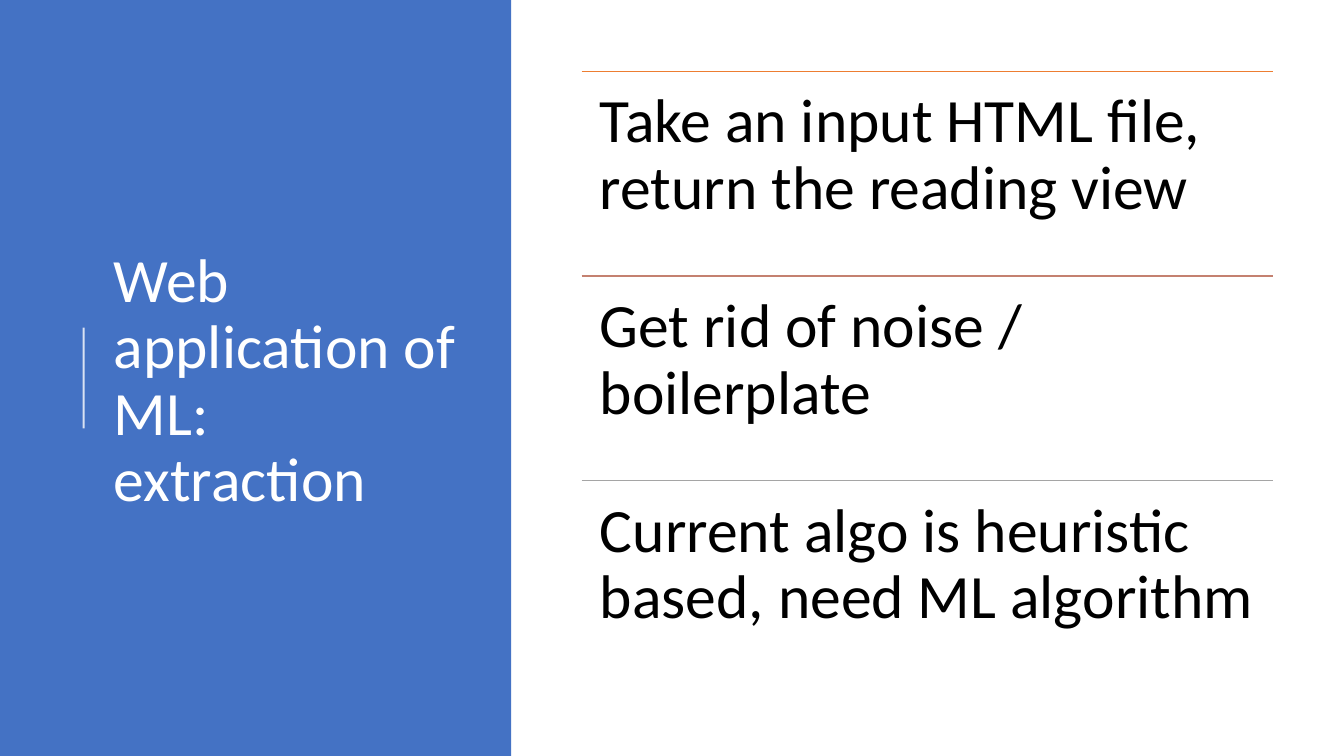
from dataclasses import dataclass

from lxml.etree import SubElement
from pptx import Presentation
from pptx.dml.color import RGBColor
from pptx.enum.shapes import MSO_CONNECTOR, MSO_SHAPE
from pptx.enum.text import MSO_ANCHOR
from pptx.oxml.ns import qn
from pptx.util import Inches, Pt

TITLE = "Web application of ML: extraction"
STEPS = [
    ("Take an input HTML file, return the reading view", "ED7D31"),
    ("Get rid of noise / boilerplate", "C48170"),
    ("Current algo is heuristic based, need ML algorithm", "A5A5A5"),
]


@dataclass(frozen=True)
class Theme:
    font: str = "Calibri"
    size: int = 44
    panel: str = "4472C4"
    light: str = "FFFFFF"
    dark: str = "000000"
    accent_opacity: int = 80


THEME = Theme()
PAGE_WIDTH, PAGE_HEIGHT = 13.33, 7.5
PANEL_WIDTH = 5.07
TITLE_BOX = (1.03, 0.78, 3.69, 6.02)
ACCENT_X, ACCENT_TOP, ACCENT_BOTTOM = 0.83, 3.25, 4.25
STEP_LEFT, STEP_TOP, STEP_WIDTH, STEP_HEIGHT = 5.77, 0.71, 6.86, 2.03
STEP_INSET = 0.18


def add_text(page, text, bounds, color, anchor, insets=(0.1, 0.05)):
    box = page.shapes.add_textbox(*map(Inches, bounds))
    frame = box.text_frame
    frame.text = text
    frame.word_wrap = True
    frame.vertical_anchor = anchor
    frame.margin_left = frame.margin_right = Inches(insets[0])
    frame.margin_top = frame.margin_bottom = Inches(insets[1])
    para = frame.paragraphs[0]
    para.line_spacing = 0.9
    font = para.runs[0].font
    font.name = THEME.font
    font.size = Pt(THEME.size)
    font.color.rgb = RGBColor.from_string(color)


def add_line(page, start, end, color, width, opacity=100):
    line = page.shapes.add_connector(
        MSO_CONNECTOR.STRAIGHT, *map(Inches, start + end))
    line.line.color.rgb = RGBColor.from_string(color)
    line.line.width = Pt(width)
    properties = line._element.spPr
    if opacity < 100:
        tint = properties.find(".//" + qn("a:srgbClr"))
        SubElement(tint, qn("a:alpha")).set("val", str(opacity * 1000))
    SubElement(properties, qn("a:effectLst"))


def add_title_panel(page):
    panel = page.shapes.add_shape(
        MSO_SHAPE.RECTANGLE, 0, 0, Inches(PANEL_WIDTH), Inches(PAGE_HEIGHT))
    panel.shadow.inherit = False
    panel.fill.solid()
    panel.fill.fore_color.rgb = RGBColor.from_string(THEME.panel)
    panel.line.fill.background()
    add_text(page, TITLE, TITLE_BOX, THEME.light, MSO_ANCHOR.MIDDLE)
    add_line(page, (ACCENT_X, ACCENT_BOTTOM), (ACCENT_X, ACCENT_TOP),
             THEME.light, 1.5, THEME.accent_opacity)


def add_steps(page):
    for index, (text, color) in enumerate(STEPS):
        top = STEP_TOP + index * STEP_HEIGHT
        add_line(page, (STEP_LEFT, top), (STEP_LEFT + STEP_WIDTH, top), color, 1)
        add_text(page, text, (STEP_LEFT, top, STEP_WIDTH, STEP_HEIGHT),
                 THEME.dark, MSO_ANCHOR.TOP, (STEP_INSET, STEP_INSET))


def main():
    deck = Presentation()
    deck.slide_width = Inches(PAGE_WIDTH)
    deck.slide_height = Inches(PAGE_HEIGHT)
    page = deck.slides.add_slide(deck.slide_layouts[6])
    add_title_panel(page)
    add_steps(page)
    deck.save("out.pptx")


if __name__ == "__main__":
    main()
